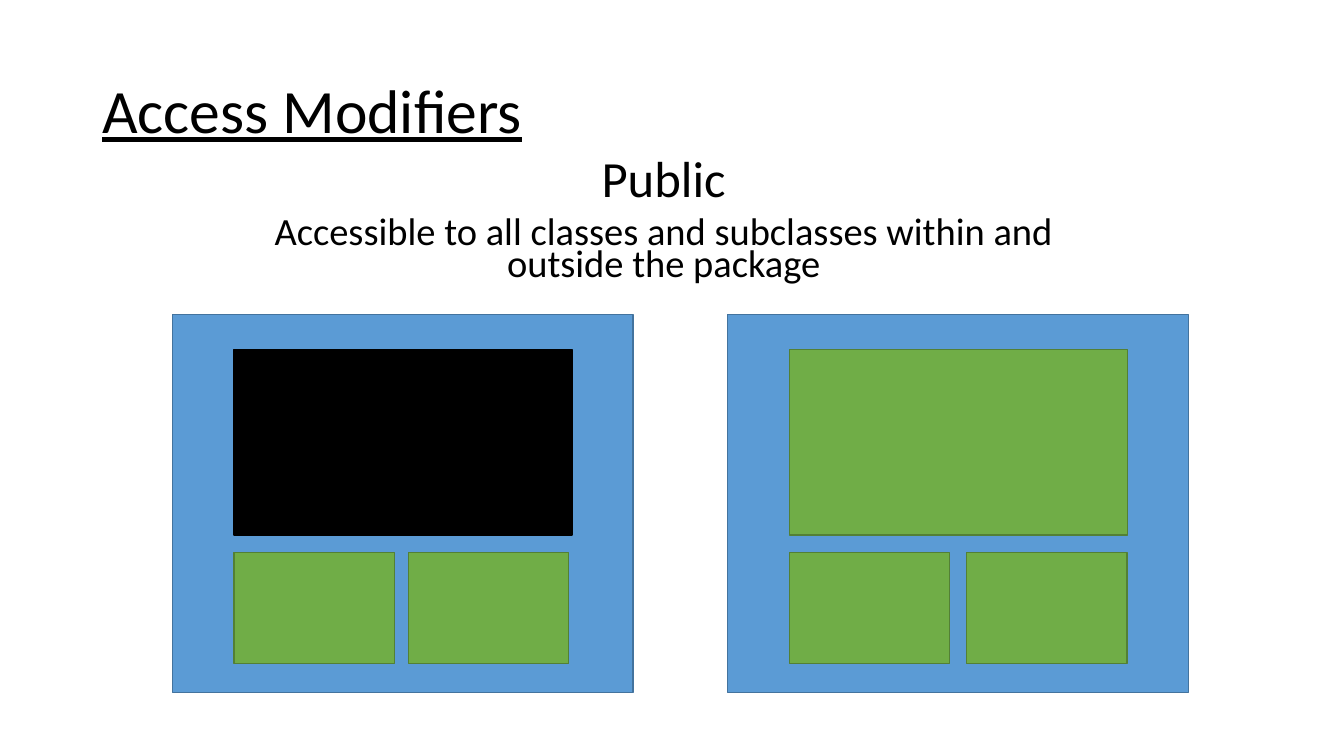
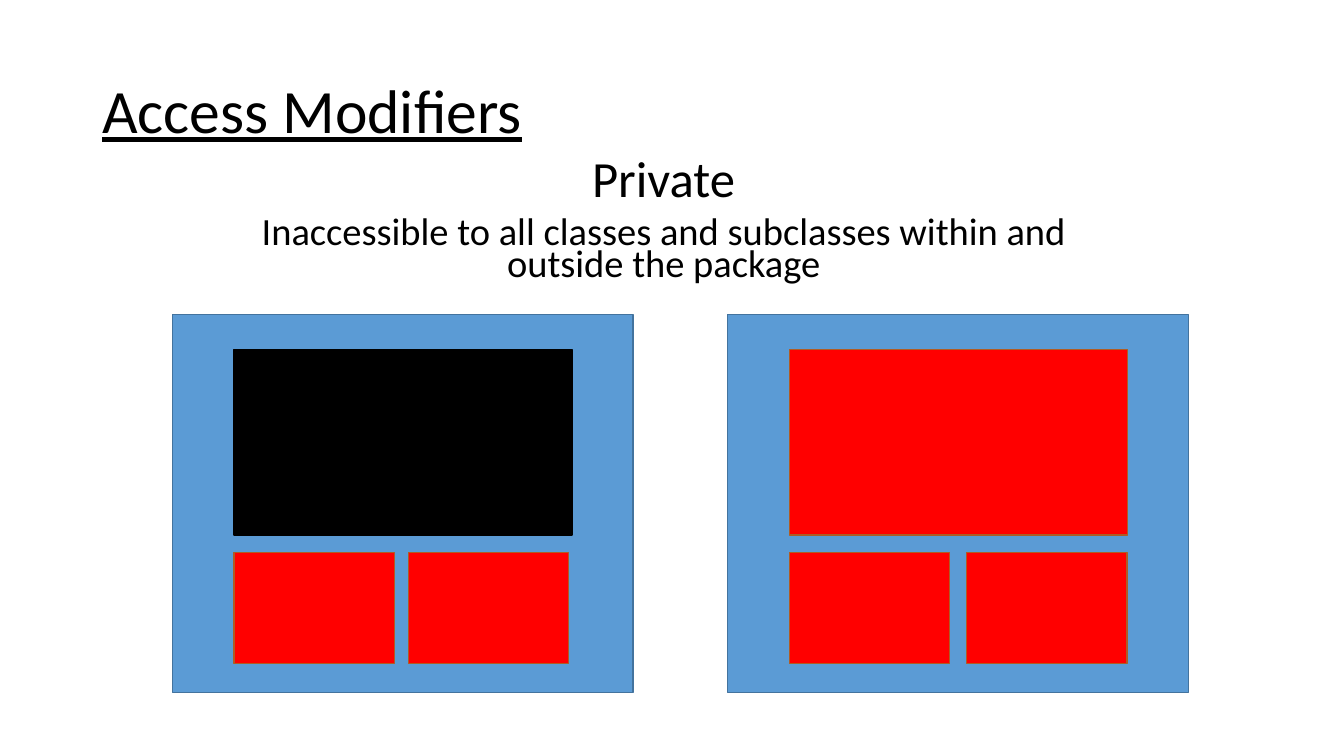
from pptx import Presentation
from pptx.dml.color import RGBColor
from pptx.enum.shapes import MSO_SHAPE
from pptx.enum.text import MSO_ANCHOR, PP_ALIGN
from pptx.util import Pt

RECTANGLE = MSO_SHAPE.RECTANGLE
MIDDLE, TOP = MSO_ANCHOR.MIDDLE, MSO_ANCHOR.TOP
LEFT, CENTER = PP_ALIGN.LEFT, PP_ALIGN.CENTER

FONT = "Calibri"
COLORS = {
    "text": "000000",
    "package": "5B9BD5", "package line": "43739E",
    "owner": "000000", "owner line": "000000",
    "allowed": "70AD47", "allowed line": "538035",
    "denied": "FF0000", "denied line": "AF5C24",
}

# Left edge of each package, and the offset of its second subclass
PACKAGES = [(123.1, 168.5), (519.8, 170.6)]
CLASS_INSET = 44

MODIFIERS = [
    ("Public", "Accessible to all classes and subclasses within and outside the package", "allowed"),
    ("Private", "Inaccessible to all classes and subclasses within and outside the package", "denied"),
]


def add_text(slide, box, lines, anchor, align, spacing, before=0, underline=None):
    """Add a text box; lines holds one (text, size) pair per paragraph."""
    frame = slide.shapes.add_textbox(*map(Pt, box)).text_frame
    frame.word_wrap = True
    frame.vertical_anchor = anchor
    frame.text = "\n".join(text for text, size in lines)
    for paragraph, (text, size) in zip(frame.paragraphs, lines):
        paragraph.alignment = align
        paragraph.line_spacing = spacing
        paragraph.space_before = Pt(before)
        font = paragraph.runs[0].font
        font.name = FONT
        font.size = Pt(size)
        font.underline = underline
        font.color.rgb = RGBColor.from_string(COLORS["text"])


def add_block(slide, box, role):
    block = slide.shapes.add_shape(RECTANGLE, *map(Pt, box))
    block.shadow.inherit = False
    block.fill.solid()
    block.fill.fore_color.rgb = RGBColor.from_string(COLORS[role])
    block.line.color.rgb = RGBColor.from_string(COLORS[role + " line"])
    block.line.width = Pt(1)


prs = Presentation()
prs.slide_width, prs.slide_height = Pt(960), Pt(540)
blank_layout = prs.slide_layouts[6]

for modifier, meaning, access in MODIFIERS:
    slide = prs.slides.add_slide(blank_layout)
    add_text(slide, (66, 28.75, 828, 104.4), [("Access Modifiers", 44)],
             MIDDLE, LEFT, 0.9, underline=True)
    add_text(slide, (152.6, 113, 643, 100), [(modifier, 36.2), (meaning, 27.5)],
             TOP, CENTER, 0.7, before=10)

    for index, (left, second_offset) in enumerate(PACKAGES):
        class_left = left + CLASS_INSET
        add_block(slide, (left, 224.8, 329, 269.8), "package")
        add_block(slide, (class_left, 249.8, 241.4, 132.5), "owner" if index == 0 else access)
        for subclass_left in (class_left, left + second_offset):
            add_block(slide, (subclass_left, 394.6, 114.6, 79.2), access)

prs.save("out.pptx")
